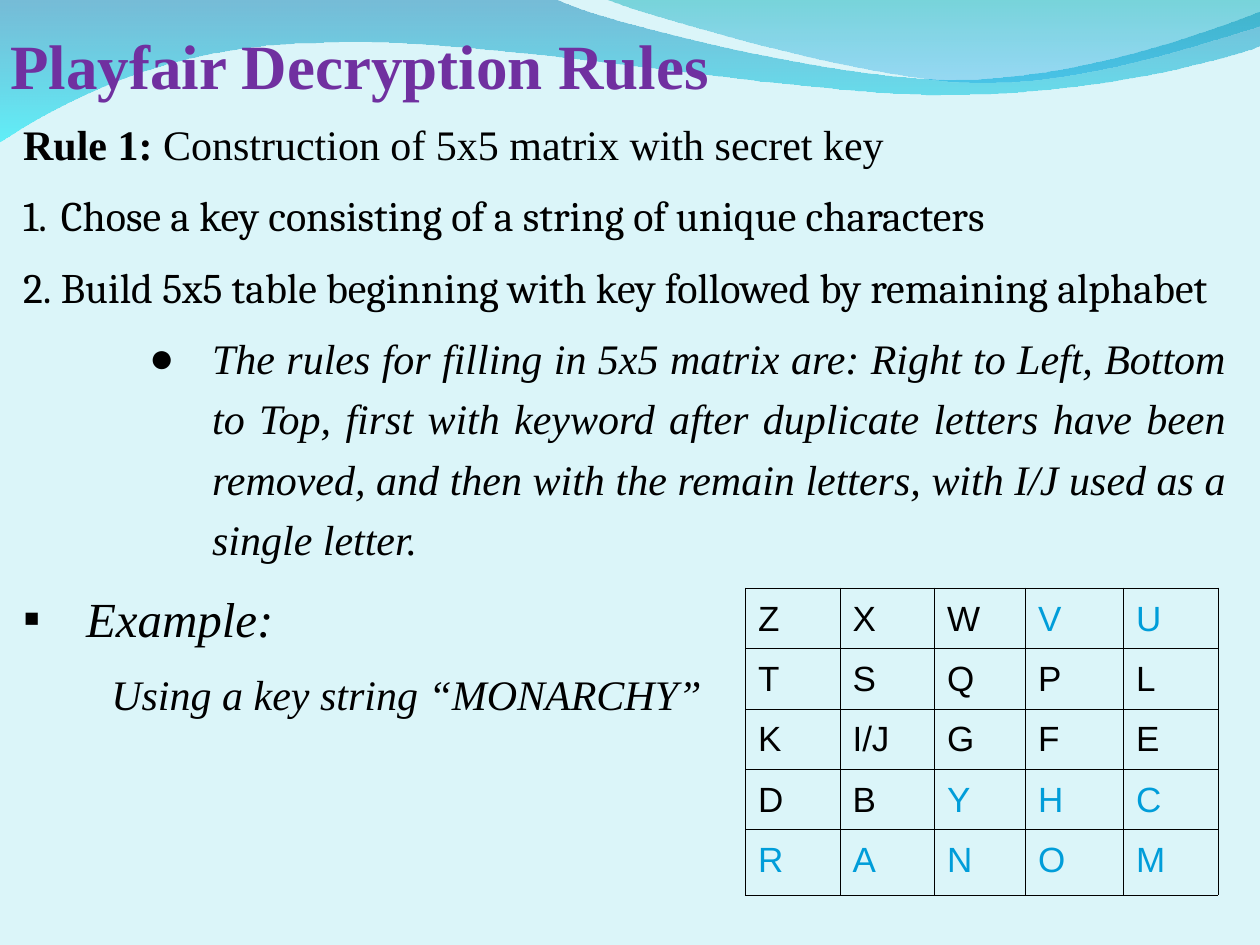
from lxml.etree import SubElement
from pptx import Presentation
from pptx.dml.color import RGBColor
from pptx.enum.text import MSO_ANCHOR, MSO_AUTO_SIZE, PP_ALIGN
from pptx.oxml.ns import qn
from pptx.util import Pt

THEME = {
    "background": "DBF5F9", "title": "7030A0", "text": "000000", "key": "009DD9",
    "serif": "Times New Roman", "steps": "Cambria", "table": "Arial",
    "title_size": 36, "body_size": 24, "example_size": 28, "table_size": 20,
    "outer_border": 0.5, "inner_border": 0.23,
}

TITLE = "Playfair Decryption Rules"
TITLE_BOX = (6, 12, 648, 46.5)
BODY_BOX = (6, 60, 702, 468)

# Layout of each kind of paragraph: level, left margin, hanging indent, line
# spacing, space before, bullet
STYLES = {
    "rule": (1, 21.6, -21.6, 1.14, 0, None),
    "step": (1, 21.6, -21.6, 1.2, 6.1, "number"),
    "detail": (3, 108, -36, 1.2, 6.1, "●"),
    "example": (0, 36, -36, 1.2, 7.1, "▪"),
    "key": (2, 86.4, -36, 1.2, 6.1, None),
}
STEP_FONT = {"name": THEME["steps"]}
ITALIC = {"italic": True}
BODY = [
    ("rule", [("Rule 1: ", {"bold": True}),
              ("Construction of 5x5 matrix with secret key", {})]),
    ("step", [("Chose a key consisting of a string of unique characters", STEP_FONT)]),
    ("step", [("Build 5x5 table beginning with key followed by remaining alphabet",
               STEP_FONT)]),
    ("detail", [("The rules for filling in 5x5 matrix are: Right to Left, Bottom to Top, "
                 "first with keyword after duplicate letters have been removed, and then "
                 "with the remain letters, with I/J used as a single letter.", ITALIC)]),
    ("example", [("Example:", {"italic": True, "size": THEME["example_size"]})]),
    ("key", [("Using a key string “MONARCHY”", ITALIC)]),
]

MATRIX = [row.split() for row in
          ("Z X W V U", "T S Q P L", "K I/J G F E", "D B Y H C", "R A N O M")]
HIGHLIGHTED = set("MONARCHYUV")
MATRIX_POSITION = (426, 336)
COLUMN_WIDTHS = (54, 54, 52, 56, 54)
ROW_HEIGHTS = (34.5, 34.5, 34.5, 34.5, 37.5)

# Outlines: a pair is a corner, a triple of pairs is a Bézier curve.
# Gradient stops from top to bottom: colour, opacity in percent.
WAVES = [
    ([(0, -0.72), (316.8, -0.72),
      ((342.72, 12.24), (478.08, 45.36), (545.76, 45.36)),
      ((614.16, 45.36), (689.76, 18.72), (720, 6.48)), (720.72, 25.92),
      ((707.76, 31.68), (626.4, 54.72), (537.12, 54)),
      ((447.84, 54), (275.04, 20.16), (185.04, 24.48)),
      ((92.88, 25.2), (33.12, 59.76), (-0.72, 81.36))],
     [("0079AF", 46), ("00EBF8", 56)]),
    ([(344.88, -0.72),
      ((366.48, 7.92), (491.04, 44.64), (553.68, 46.8)),
      ((616.32, 49.68), (691.92, 23.04), (720, 15.12)), (720, 0)],
     [("00ADB6", 46), ("009BE5", 31)]),
]


def is_curve(part):
    return len(part) == 3


def bend_curves(wave, outline):
    """Replace the straight segments that stand for curves by Bézier segments."""
    segments = list(wave._element.iter(qn("a:lnTo")))
    for segment, part in zip(segments, outline[1:]):
        if is_curve(part):
            segment.tag = qn("a:cubicBezTo")
            del segment[:]
            for x, y in part:
                SubElement(segment, qn("a:pt"), x=str(Pt(x) - wave.left),
                           y=str(Pt(y) - wave.top))


def add_wave(slide, depth, outline, stops):
    anchors = [part[-1] if is_curve(part) else part for part in outline]
    start, *rest = [(Pt(x), Pt(y)) for x, y in anchors]
    builder = slide.shapes.build_freeform(*start)
    builder.add_line_segments(rest, close=True)
    wave = builder.convert_to_shape()
    bend_curves(wave, outline)
    wave.shadow.inherit = False
    wave.line.fill.background()
    wave.fill.gradient()
    wave.fill.gradient_angle = 270
    for stop, (color, _) in zip(wave.fill.gradient_stops, stops):
        stop.color.rgb = RGBColor.from_string(color)
    for color_node, (_, opacity) in zip(wave._element.iter(qn("a:srgbClr")), stops):
        SubElement(color_node, qn("a:alpha"), val=str(opacity * 1000))
    # Behind the placeholders, after the two header nodes of the shape tree
    slide.shapes._spTree.insert(2 + depth, wave._element)


def set_font(font, **changes):
    values = {"name": THEME["serif"], "size": THEME["body_size"], "bold": False,
              "italic": False, "color": THEME["text"], **changes}
    font.color.rgb = RGBColor.from_string(values.pop("color"))
    values["size"] = Pt(values["size"])
    for attribute, value in values.items():
        setattr(font, attribute, value)


def place(shape, box):
    for attribute, value in zip(("left", "top", "width", "height"), box):
        setattr(shape, attribute, Pt(value))
    shape.text_frame.word_wrap = True
    shape.text_frame.auto_size = MSO_AUTO_SIZE.NONE


def set_bullet(paragraph, bullet, margin, indent):
    properties = paragraph._p.get_or_add_pPr()
    properties.set("marL", str(Pt(margin)))
    properties.set("indent", str(Pt(indent)))
    if bullet is None:
        SubElement(properties, qn("a:buNone"))
        return
    SubElement(SubElement(properties, qn("a:buClr")), qn("a:srgbClr"), val=THEME["text"])
    if bullet == "number":
        SubElement(properties, qn("a:buFont"), typeface=THEME["steps"])
        SubElement(properties, qn("a:buAutoNum"), type="arabicPeriod")
    else:
        SubElement(properties, qn("a:buFont"), typeface=THEME["table"])
        SubElement(properties, qn("a:buChar"), char=bullet)


def fill_title(title):
    place(title, TITLE_BOX)
    frame = title.text_frame
    frame.text = TITLE
    frame.vertical_anchor = MSO_ANCHOR.BOTTOM
    frame.margin_left = frame.margin_right = frame.margin_bottom = 0
    frame.margin_top = Pt(3.6)
    paragraph = frame.paragraphs[0]
    paragraph.alignment = PP_ALIGN.LEFT
    set_font(paragraph.runs[0].font, size=THEME["title_size"], bold=True,
             color=THEME["title"])


def fill_body(body):
    place(body, BODY_BOX)
    frame = body.text_frame
    for index, (style, runs) in enumerate(BODY):
        paragraph = frame.add_paragraph() if index else frame.paragraphs[0]
        level, margin, indent, spacing, before, bullet = STYLES[style]
        set_bullet(paragraph, bullet, margin, indent)
        layout = {"level": level, "alignment": PP_ALIGN.JUSTIFY, "line_spacing": spacing,
                  "space_before": Pt(before), "space_after": Pt(0.1)}
        for attribute, value in layout.items():
            setattr(paragraph, attribute, value)
        for text, changes in runs:
            run = paragraph.add_run()
            run.text = text
            set_font(run.font, **changes)


def set_borders(cell, row, column):
    last = len(MATRIX) - 1
    outer = {"L": column == 0, "R": column == last, "T": row == 0, "B": row == last}
    for side, is_outer in outer.items():
        width = THEME["outer_border" if is_outer else "inner_border"]
        line = SubElement(cell._tc.get_or_add_tcPr(), qn(f"a:ln{side}"), w=str(Pt(width)))
        fill = SubElement(line, qn("a:solidFill"))
        SubElement(fill, qn("a:srgbClr"), val=THEME["text"])


def add_matrix(slide):
    box = (*MATRIX_POSITION, sum(COLUMN_WIDTHS), sum(ROW_HEIGHTS))
    table = slide.shapes.add_table(len(MATRIX), len(MATRIX[0]), *map(Pt, box)).table
    table.first_row = table.horz_banding = False
    for column, width in zip(table.columns, COLUMN_WIDTHS):
        column.width = Pt(width)
    for row, (letters, height) in enumerate(zip(MATRIX, ROW_HEIGHTS)):
        table.rows[row].height = Pt(height)
        for column, letter in enumerate(letters):
            cell = table.cell(row, column)
            set_borders(cell, row, column)
            cell.fill.background()
            cell.text = letter
            paragraph = cell.text_frame.paragraphs[0]
            paragraph.line_spacing = 1.13
            set_font(paragraph.runs[0].font, name=THEME["table"], size=THEME["table_size"],
                     color=THEME["key" if letter in HIGHLIGHTED else "text"])


def main():
    presentation = Presentation()
    presentation.slide_width, presentation.slide_height = Pt(720), Pt(540)
    slide = presentation.slides.add_slide(presentation.slide_layouts[1])
    slide.background.fill.solid()
    slide.background.fill.fore_color.rgb = RGBColor.from_string(THEME["background"])
    for depth, (outline, stops) in enumerate(WAVES):
        add_wave(slide, depth, outline, stops)
    fill_title(slide.shapes.title)
    fill_body(slide.placeholders[1])
    add_matrix(slide)
    presentation.save("out.pptx")


if __name__ == "__main__":
    main()
